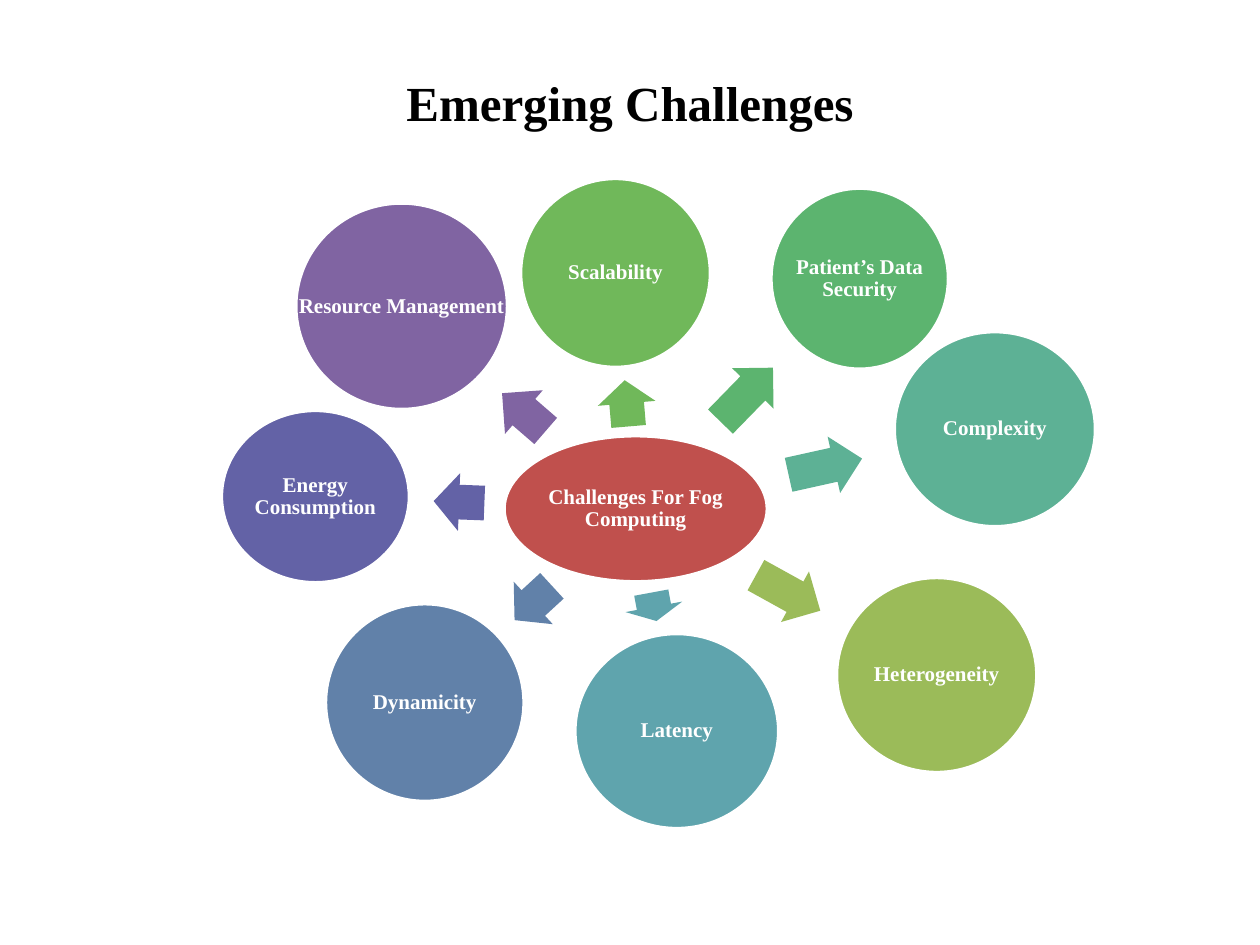
import math
from dataclasses import dataclass

import pptx
import pptx.dml.color
import pptx.enum.shapes
import pptx.enum.text
import pptx.util

Pt = pptx.util.Pt
SHAPE = pptx.enum.shapes.MSO_SHAPE
CENTER = pptx.enum.text.PP_ALIGN.CENTER
MIDDLE = pptx.enum.text.MSO_ANCHOR.MIDDLE


@dataclass(frozen=True)
class Theme:
    font: str = "Times New Roman"
    title_size: float = 28
    label_size: float = 12
    title: str = "000000"
    paper: str = "FFFFFF"
    hub: str = "C0504D"
    outline: float = 2
    arrow_width: float = 33


THEME = Theme()

TITLE_BOX = (49.5, 35.5, 621, 50)
DIAGRAM_BOX = (126, 102, 501, 372)

# Boxes are left, top, width, height within the diagram
HUB = ("Challenges For Fog\vComputing", (162, 147, 150.5, 83.5))

# Label, colour, circle box, arrow length, arrow distance from the hub centre
CHALLENGES = [
    ("Heterogeneity", "9BBB59", (352, 228, 114.5, 111.5), 42, 99.5),
    ("Scalability", "70B85A", (171.5, 0, 108.5, 108), 26.5, 60.5),
    ("Patient’s Data\vSecurity", "5CB46F", (314.5, 5.5, 101.5, 103.5), 43, 91),
    ("Complexity", "5DB195", (385, 87.5, 115, 111.5), 43, 111),
    ("Latency", "5FA4AD", (202.5, 260, 116.5, 111.5), 16.5, 57),
    ("Dynamicity", "6181A9", (60, 243, 113.5, 113), 29, 79.5),
    ("Energy\vConsumption", "6362A6", (0.5, 132.5, 107.5, 98.5), 29, 101),
    ("Resource Management", "8064A2", (43, 14, 121, 118), 33, 84.5),
]


def rgb(value):
    return pptx.dml.color.RGBColor.from_string(value)


def set_all(target, values):
    for name, value in values.items():
        setattr(target, name, value)


def write(sp, text, size, color):
    tf = sp.text_frame
    margins = dict.fromkeys(
        ("margin_left", "margin_top", "margin_right", "margin_bottom"), Pt(1.5))
    set_all(tf, {"text": text, "word_wrap": False,
                 "vertical_anchor": MIDDLE, **margins})
    p = tf.paragraphs[0]
    set_all(p, {"alignment": CENTER, "line_spacing": 0.9})
    for r in p.runs:
        set_all(r.font, {"name": THEME.font, "size": Pt(size), "bold": True})
        r.font.color.rgb = rgb(color)


def add_filled(s, kind, box, color):
    sp = s.shapes.add_shape(kind, *map(Pt, box))
    sp.shadow.inherit = False
    sp.fill.solid()
    sp.fill.fore_color.rgb = rgb(color)
    sp.line.fill.background()
    return sp


def add_circle(s, box, text, color):
    sp = add_filled(s, SHAPE.OVAL, box, color)
    sp.line.color.rgb = rgb(THEME.paper)
    sp.line.width = Pt(THEME.outline)
    write(sp, text, THEME.label_size, THEME.paper)


def center(box):
    left, top, width, height = box
    return left + width / 2, top + height / 2


def add_arrow(s, hub_box, circle_box, color, length, distance):
    """Point from the hub centre towards the circle centre."""
    x, y = center(hub_box)
    cx, cy = center(circle_box)
    angle = math.atan2(cy - y, cx - x)
    box = (x + distance * math.cos(angle) - length / 2,
           y + distance * math.sin(angle) - THEME.arrow_width / 2,
           length, THEME.arrow_width)
    sp = add_filled(s, SHAPE.RIGHT_ARROW, box, color)
    sp.adjustments[0] = 0.6
    # The head is half as long as the arrow's shorter side
    sp.adjustments[1] = 0.5
    sp.rotation = math.degrees(angle) % 360


def place_title(s, box):
    sp = s.shapes.title
    set_all(sp, dict(zip(("left", "top", "width", "height"), map(Pt, box))))
    write(sp, "Emerging Challenges", THEME.title_size, THEME.title)


def place_diagram(s, box):
    def inside(part):
        return (box[0] + part[0], box[1] + part[1], *part[2:])

    # Hub
    text, hub_part = HUB
    hub_box = inside(hub_part)
    add_circle(s, hub_box, text, THEME.hub)

    # Arrows and challenge circles
    for text, color, part, length, distance in CHALLENGES:
        circle_box = inside(part)
        add_arrow(s, hub_box, circle_box, color, length, distance)
        add_circle(s, circle_box, text, color)


def main():
    prs = pptx.Presentation()
    set_all(prs, {"slide_width": Pt(720), "slide_height": Pt(540)})
    s = prs.slides.add_slide(prs.slide_layouts.get_by_name("Title Only"))
    place_title(s, TITLE_BOX)
    place_diagram(s, DIAGRAM_BOX)
    prs.save("out.pptx")


if __name__ == "__main__":
    main()
